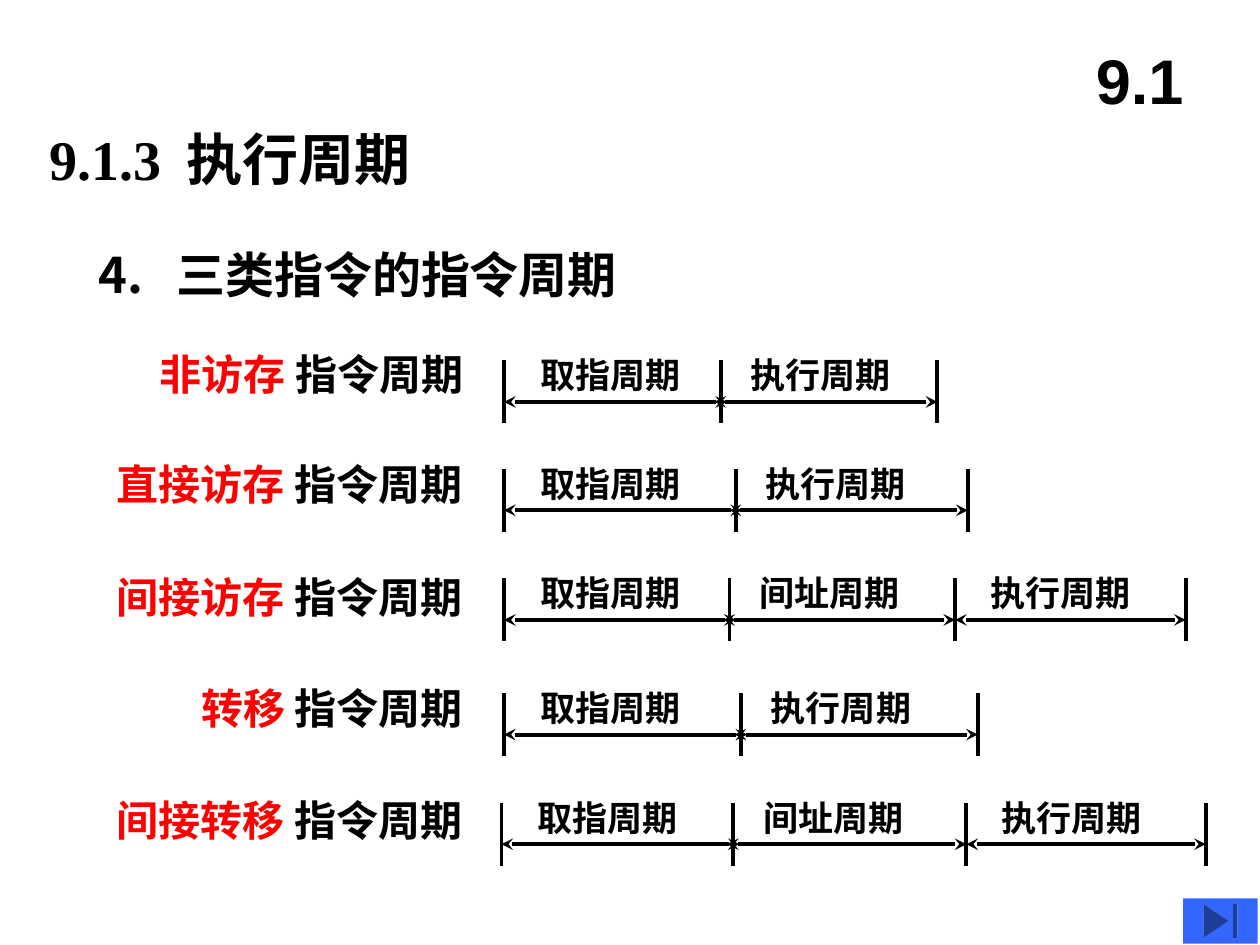
from pptx import Presentation
from pptx.dml.color import RGBColor
from pptx.enum.shapes import MSO_CONNECTOR, MSO_SHAPE
from pptx.enum.text import MSO_ANCHOR, PP_ALIGN
from pptx.oxml.ns import qn
from pptx.util import Inches, Pt
from lxml.etree import SubElement

BLACK = RGBColor(0x00, 0x00, 0x00)
RED = RGBColor(0xFF, 0x00, 0x00)
BLUE = RGBColor(0x33, 0x66, 0xFF)
CJK = "Noto Sans CJK SC"
SERIF = "Times New Roman"

prs = Presentation()
prs.slide_width, prs.slide_height = Inches(10), Inches(7.5)
COL = prs.slide_width / 100
ROW = prs.slide_height / 75
s = prs.slides.add_slide(prs.slide_layouts[6])


def add_text(shapes, text, x, y, w, h, size, lead="", font=SERIF, align=PP_ALIGN.LEFT,
             anchor=MSO_ANCHOR.TOP, inset=(1, 0.5), tab=None):
    """Add bold text at a grid position; lead is a red opening run."""
    box = shapes.add_textbox(round(x * COL), round(y * ROW), round(w * COL), round(h * ROW))
    tf = box.text_frame
    tf.word_wrap = True
    tf.vertical_anchor = anchor
    tf.margin_left = tf.margin_right = round(inset[0] * COL)
    tf.margin_top = tf.margin_bottom = round(inset[1] * ROW)
    p = tf.paragraphs[0]
    p.alignment = align
    if tab:
        tabs = SubElement(p._p.get_or_add_pPr(), qn("a:tabLst"))
        SubElement(tabs, qn("a:tab"), pos=str(round(tab * COL)), algn="l")
    for part, color in ((lead, RED), (text, BLACK)):
        if part:
            r = p.add_run()
            r.text = part
            r.font.name, r.font.size, r.font.bold = font, Pt(size), True
            r.font.color.rgb = color
            SubElement(r._r.get_or_add_rPr(), qn("a:ea"), typeface=CJK)


def add_line(shapes, x1, y1, x2, y2, arrows=False):
    line = shapes.add_connector(MSO_CONNECTOR.STRAIGHT, round(x1 * COL), round(y1 * ROW),
                                round(x2 * COL), round(y2 * ROW))
    line.line.color.rgb = BLACK
    line.line.width = Pt(2.25)
    if arrows:
        ln = line.line._get_or_add_ln()
        for end in ("a:headEnd", "a:tailEnd"):
            SubElement(ln, qn(end), type="stealth")
    SubElement(line._element.spPr, qn("a:effectLst"))


# Headings
add_text(s.shapes, "9.1", 84.2, 1.7, 12.5, 9.2, 36, font="Arial",
         align=PP_ALIGN.CENTER, anchor=MSO_ANCHOR.MIDDLE)
add_text(s.shapes, "9.1.3\t执行周期", 3.9, 10.2, 51.2, 4.7, 32,
         anchor=MSO_ANCHOR.MIDDLE, inset=(0, 0), tab=10.9)
add_text(s.shapes, "4.\t三类指令的指令周期", 7.8, 18.8, 44.9, 5.8, 28, font=CJK,
         anchor=MSO_ANCHOR.MIDDLE, inset=(0, 0.5), tab=6.2)

# Instruction cycles: name, name column, name row, tick row, tick columns
CYCLES = [
    ("非访存", 11.7, 27.2, 28.6, (40, 57.2, 74.4)),
    ("直接访存", 8.3, 35.9, 37.2, (40, 58.4, 76.8)),
    ("间接访存", 8.3, 44.9, 45.9, (40, 57.9, 75.8, 94.1)),
    ("转移", 15, 53.7, 55, (40, 58.8, 77.6)),
    ("间接转移", 8.3, 62.6, 63.7, (39.8, 58.2, 76.7, 95.7)),
]
PHASES = {2: ("取指周期", "执行周期"), 3: ("取指周期", "间址周期", "执行周期")}
LABEL_GAPS = (1.9, 1.4, 1.8)
OVERLAP = 0.5

for name, name_x, name_y, top, ticks in CYCLES:
    add_text(s.shapes, "指令周期", name_x, name_y, 31, 5, 24, lead=name + " ")
    timeline = s.shapes.add_group_shape().shapes
    for x in ticks:
        add_line(timeline, x, top, x, top + 5)
    for i, phase in enumerate(PHASES[len(ticks) - 1]):
        # The first two arrows cross slightly at the tick they share
        start = ticks[i] - (OVERLAP if i == 1 else 0)
        end = ticks[i + 1] + (OVERLAP if i == 0 else 0)
        add_line(timeline, start, top + 3.3, end, top + 3.3, arrows=True)
        add_text(timeline, phase, ticks[i] + LABEL_GAPS[i], top - 1, 14, 4.4, 20)

# Button to the last slide
sp = s.shapes.add_shape(MSO_SHAPE.ACTION_BUTTON_END, round(93.9 * COL), round(71.3 * ROW),
                        round(5.9 * COL), round(3.6 * ROW))
sp.shadow.inherit = False
sp.fill.solid()
sp.fill.fore_color.rgb = BLUE
sp.line.fill.background()

prs.save("out.pptx")
